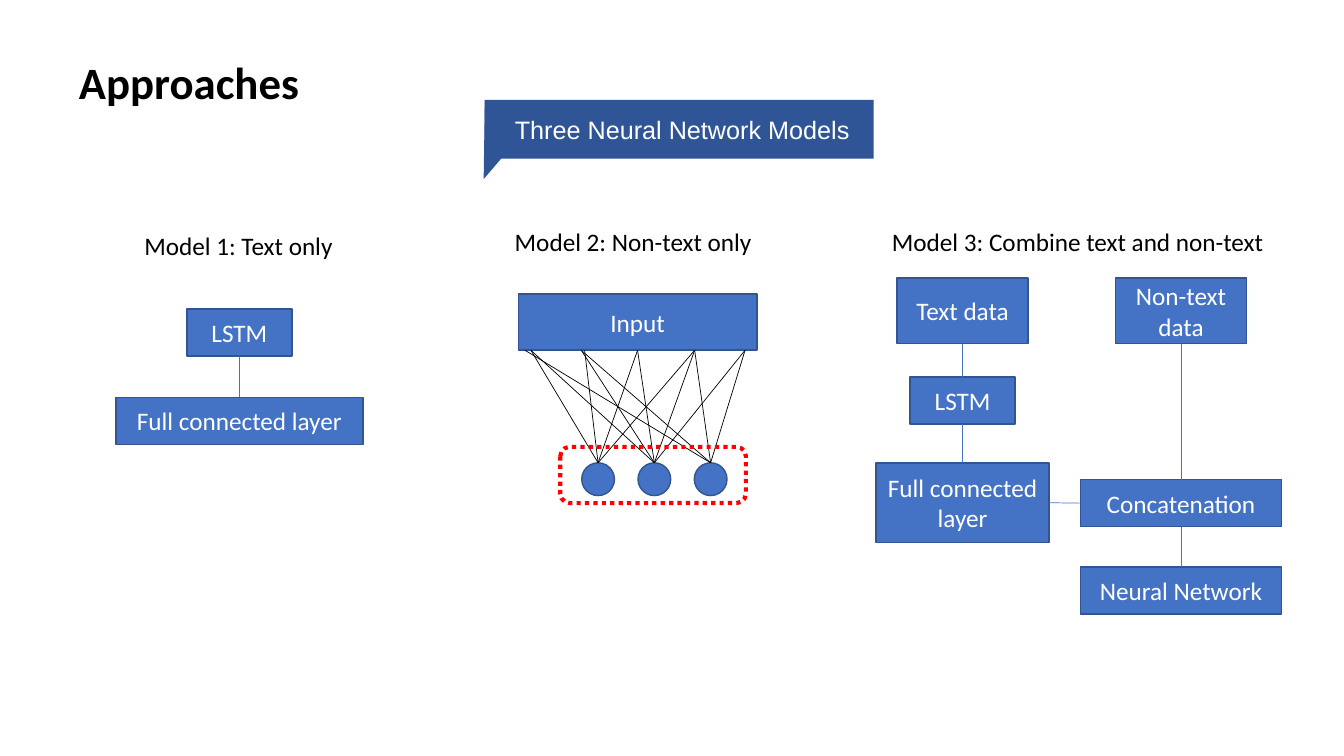
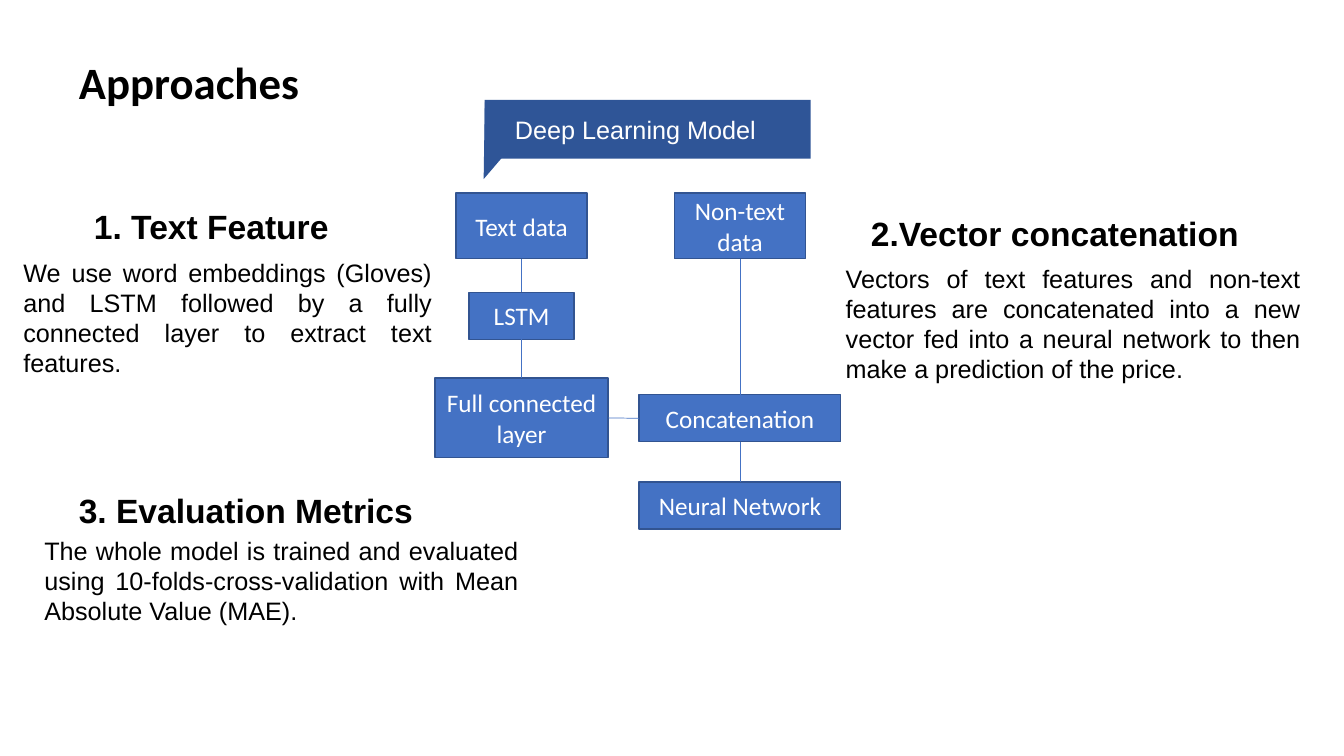
from pptx import Presentation
from pptx.dml.color import RGBColor
from pptx.enum.dml import MSO_LINE
from pptx.enum.shapes import MSO_CONNECTOR, MSO_SHAPE as SHAPE
from pptx.enum.text import MSO_ANCHOR, MSO_AUTO_SIZE, PP_ALIGN as ALIGN
from pptx.oxml.ns import qn
from pptx.util import Inches, Pt
from lxml import etree

COLORS = {
    "text": "000000",
    "light": "FFFFFF",
    "banner": "2F5597",
    "box": "4472C4",
    "border": "325491",
    "highlight": "FF0000",
}
WIDTH, HEIGHT = Inches(13.333), Inches(7.5)
COLS, ROWS = 160, 90
TOP, BOTTOM, LEFT, RIGHT = 0, 2, 1, 3
ROW_H = 5.6
LSTM_W = 12.5


def color(name):
    return RGBColor.from_string(COLORS[name])


def grid(x, y):
    return round(x * WIDTH / COLS), round(y * HEIGHT / ROWS)


def place(x, y, w, h):
    return *grid(x, y), *grid(w, h)


def write(sp, text, size=18, font="Calibri", fill="text", bold=False,
          align=ALIGN.LEFT, anchor=MSO_ANCHOR.TOP, wrap=True):
    tf = sp.text_frame
    tf.word_wrap = wrap
    tf.auto_size = MSO_AUTO_SIZE.NONE
    tf.vertical_anchor = anchor
    p = tf.paragraphs[0]
    p.text = text
    p.alignment = align
    p.font.size = Pt(size)
    p.font.name = font
    p.font.bold = bold
    p.font.color.rgb = color(fill)
    return p


def add_text(s, text, box, **style):
    write(s.shapes.add_textbox(*place(*box)), text, **style)


def add_shape(s, kind, box, fill=None, line=None, weight=1):
    sp = s.shapes.add_shape(kind, *place(*box))
    sp.shadow.inherit = False
    if fill:
        sp.fill.solid()
        sp.fill.fore_color.rgb = color(fill)
    else:
        sp.fill.background()
    if line:
        sp.line.color.rgb = color(line)
        sp.line.width = Pt(weight)
    else:
        sp.line.fill.background()
    return sp


def add_block(s, text, *box):
    sp = add_shape(s, SHAPE.RECTANGLE, box, "box", "border")
    write(sp, text, fill="light", align=ALIGN.CENTER, anchor=MSO_ANCHOR.MIDDLE)
    return sp


def add_line(s, start=(0, 0), end=(0, 0), fill="box"):
    cx = s.shapes.add_connector(MSO_CONNECTOR.STRAIGHT, *grid(*start), *grid(*end))
    cx.line.color.rgb = color(fill)
    cx.line.width = Pt(0.5)
    etree.SubElement(cx._element.spPr, qn("a:effectLst"))
    return cx


def link(s, first, second, exit_side=BOTTOM, entry_side=TOP):
    cx = add_line(s)
    cx.begin_connect(first, exit_side)
    cx.end_connect(second, entry_side)


def add_banner(s, text, x, y, w):
    tail = add_shape(s, SHAPE.ISOSCELES_TRIANGLE, (x - 1.7, y + 1.1, 6.2, 8.6), "banner")
    tail.rotation = 200.7
    sp = add_shape(s, SHAPE.RECTANGLE, (x, y, w, 7), "banner")
    write(sp, text, font="Arial", fill="light", anchor=MSO_ANCHOR.MIDDLE)
    sp.text_frame.margin_left = grid(3.6, 0)[0]


def add_approach_slide(prs, banner, banner_w):
    s = prs.slides.add_slide(prs.slide_layouts[5])
    title = s.shapes.title
    title.left, title.top, title.width, title.height = place(8.2, 1.4, 138, 17.4)
    p = write(title, "Approaches", size=32, bold=True, anchor=MSO_ANCHOR.MIDDLE)
    p.line_spacing = 0.9
    add_banner(s, banner, 57.7, 11.9, banner_w)
    return s


def text_model(s, x, y):
    full_w = 29.4
    lstm = add_block(s, "LSTM", x + (full_w - LSTM_W) / 2, y, LSTM_W, ROW_H)
    full = add_block(s, "Full connected layer", x, y + 10.5, full_w, ROW_H)
    link(s, lstm, full)


def non_text_model(s, x, y):
    bar_h, size, node_y = 6.7, 3.9, 20.1
    centers = [9.5 + 6.7 * i for i in range(3)]
    edges = {0.8: [2], 1.5: [0, 1], 7.5: [1, 2], 7.9: [0],
             14.2: [0, 1], 21: [0, 1, 2], 27: [1, 2]}
    add_block(s, "Input", x, y, 28.4, bar_h)
    for cx in centers:
        box = (x + cx - size / 2, y + node_y, size, size)
        add_shape(s, SHAPE.FLOWCHART_CONNECTOR, box, "box", "border")
    for start, nodes in edges.items():
        for node in nodes:
            add_line(s, (x + start, y + bar_h), (x + centers[node], y + node_y), "text")
    frame = add_shape(s, SHAPE.ROUNDED_RECTANGLE, (x + 5, y + 18.2, 22.1, 6.7),
                      line="highlight", weight=3)
    frame.line.dash_style = MSO_LINE.ROUND_DOT


def combined_model(s, x, y):
    data_w, data_h, full_w, out_w = 15.6, 7.8, 20.6, 24
    out_x = x + 24.3

    def centered(text, left, span, top, w, h):
        return add_block(s, text, left + (span - w) / 2, y + top, w, h)

    text = centered("Text data", x, full_w, 0, data_w, data_h)
    lstm = centered("LSTM", x, full_w, 11.8, LSTM_W, ROW_H)
    full = centered("Full connected layer", x, full_w, 22, full_w, 9.5)
    other = centered("Non-text data", out_x, out_w, 0, data_w, data_h)
    concat = centered("Concatenation", out_x, out_w, 24, out_w, ROW_H)
    network = centered("Neural Network", out_x, out_w, 34.4, out_w, ROW_H)
    for first, second in [(text, lstm), (lstm, full), (other, concat), (concat, network)]:
        link(s, first, second)
    link(s, full, concat, RIGHT, LEFT)


def add_note(s, heading, body, box, indent, rise):
    x, y, w, h = box
    add_text(s, heading, (x + indent, y - rise, w - indent, 6),
             size=24, font="Arial", bold=True, wrap=False)
    add_text(s, body, box, font="Arial", align=ALIGN.JUSTIFY)


def models_slide(prs):
    s = add_approach_slide(prs, "Three Neural Network Models", 46.3)
    for text, x, y, w in [
        ("Model 1: Text only", 16, 26.8, 25.1),
        ("Model 2: Non-text only", 60.1, 26.4, 31),
        ("Model 3: Combine text and non-text", 105, 26.4, 47.4),
    ]:
        add_text(s, text, (x, y, w, 4.8), wrap=False)
    text_model(s, 13.8, 36.8)
    non_text_model(s, 61.7, 35)
    combined_model(s, 104.3, 33.1)


def deep_learning_slide(prs):
    s = add_approach_slide(prs, "Deep Learning Model", 38.8)
    combined_model(s, 51.8, 23)
    add_note(s, "1. Text Feature",
             "We use word embeddings (Gloves) and LSTM followed by a fully connected "
             "layer to extract text features.",
             (1.6, 30, 51, 15.7), 8.4, 6.1)
    add_note(s, "2.Vector concatenation",
             "Vectors of text features and non-text features are concatenated into a new "
             "vector fed into a neural network to then make a prediction of the price.",
             (99.5, 30.7, 56.5, 15.7), 3, 6)
    add_note(s, "3. Evaluation Metrics",
             "The whole model is trained and evaluated using 10-folds-cross-validation "
             "with Mean Absolute Value (MAE).",
             (4.1, 63.1, 58.8, 12.1), 4.1, 5.4)


def main():
    prs = Presentation()
    prs.slide_width, prs.slide_height = WIDTH, HEIGHT
    models_slide(prs)
    deep_learning_slide(prs)
    prs.save("out.pptx")


if __name__ == "__main__":
    main()
